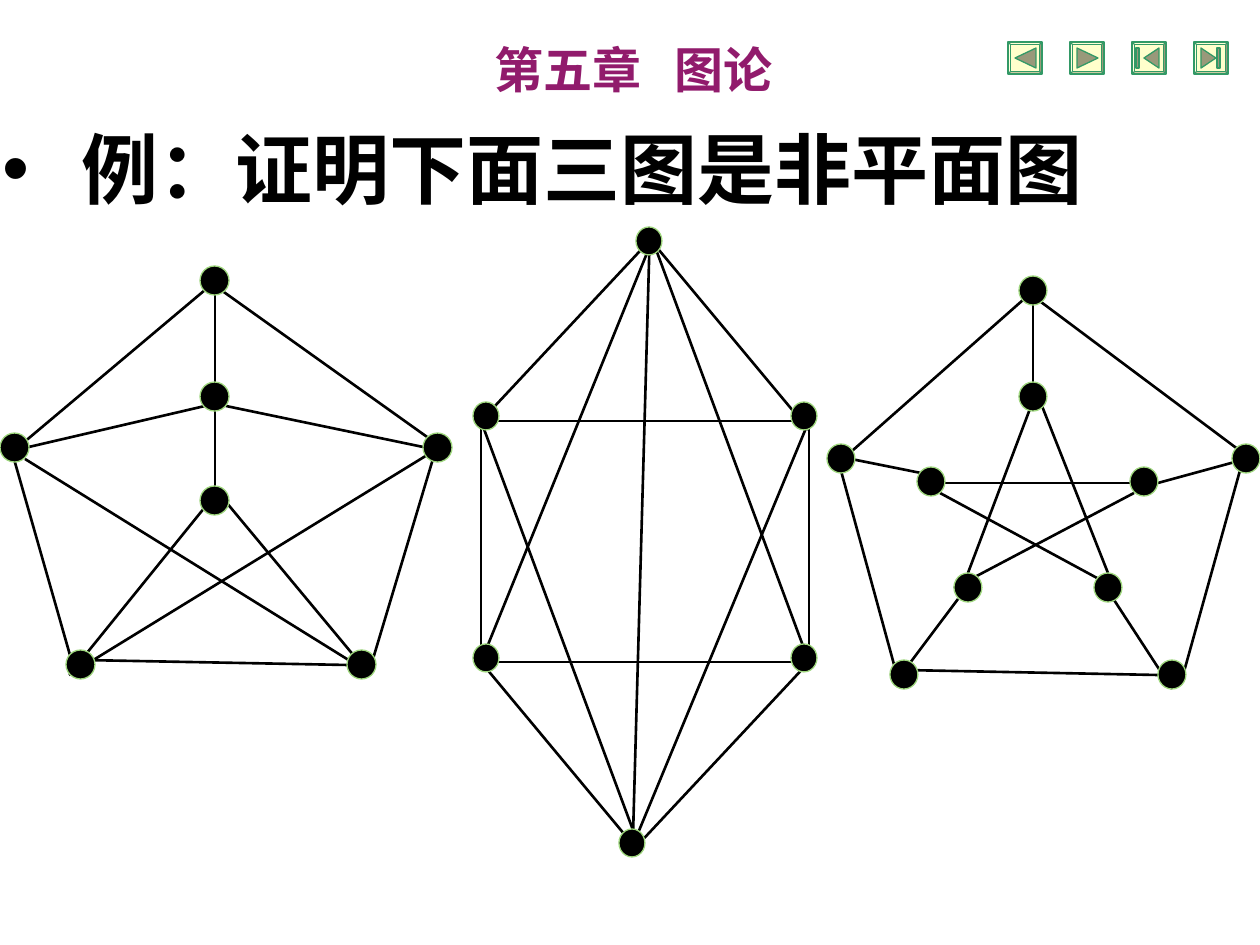
import dataclasses
import lxml.etree
import pptx
import pptx.dml.color
import pptx.enum.shapes
import pptx.enum.text
import pptx.oxml.ns
import pptx.util


@dataclasses.dataclass
class Theme:
    title: str = "911B6C"
    ink: str = "000000"
    dot_line: str = "9ED67D"
    button: str = "FFFFCC"
    button_line: str = "339966"
    arrow: str = "99997A"
    title_font: str = "Times New Roman"
    body_font: str = "Noto Sans CJK SC"
    title_size: int = 28
    body_size: int = 44
    thin: float = 0.75
    edge: float = 1.5


theme = Theme()
PX = 914400 / 126
qn = pptx.oxml.ns.qn
rgb = pptx.dml.color.RGBColor.from_string
Pt = pptx.util.Pt
MSO = pptx.enum.shapes.MSO_SHAPE


def px(*values):
    return [round(v * PX) for v in values]


def style(sp, fill, line):
    sp.shadow.inherit = False
    sp.fill.solid()
    sp.fill.fore_color.rgb = rgb(fill)
    sp.line.color.rgb = rgb(line)
    sp.line.width = Pt(theme.thin)


prs = pptx.Presentation()
prs.slide_width, prs.slide_height = px(1260, 945)
s = prs.slides.add_slide(prs.slide_layouts[1])
shapes = s.shapes

title, body = s.placeholders
texts = [
    (title, (372, 33, 523, 72), "第五章   图论", theme.title_font, theme.title_size,
     theme.title, pptx.enum.text.MSO_ANCHOR.MIDDLE, pptx.enum.text.PP_ALIGN.CENTER),
    (body, (-10, 115, 1295, 714), "例：证明下面三图是非平面图", theme.body_font, theme.body_size,
     theme.ink, pptx.enum.text.MSO_ANCHOR.TOP, pptx.enum.text.PP_ALIGN.LEFT),
]
for sp, box, text, font, size, color, anchor, align in texts:
    sp.left, sp.top, sp.width, sp.height = px(*box)
    tf = sp.text_frame
    tf.text = text
    tf.word_wrap = True
    tf.auto_size = pptx.enum.text.MSO_AUTO_SIZE.NONE
    tf.vertical_anchor = anchor
    p = tf.paragraphs[0]
    p.alignment = align
    p.space_before = Pt(0)
    p.font.name = font
    p.font.size = Pt(size)
    p.font.bold = True
    p.font.color.rgb = rgb(color)
pPr = body.text_frame.paragraphs[0]._p.get_or_add_pPr()
indent = px(79)[0]
pPr.set("marL", str(indent))
pPr.set("indent", str(-indent))

buttons = [
    ([(7, 16), (28, 6), (28, 26)], None),
    ([(7, 6), (28, 16), (7, 26)], None),
    ([(12, 16), (27, 6), (27, 26)], 6),
    ([(7, 6), (22, 16), (7, 26)], 25),
]
for i, (arrow, bar) in enumerate(buttons):
    x, y = 1008 + 62 * i, 42
    sp = shapes.add_shape(MSO.BEVEL, *px(x, y, 34, 32))
    sp.adjustments[0] = 0.07
    style(sp, theme.button, theme.button_line)
    points = [(x + dx, y + dy) for dx, dy in arrow]
    builder = shapes.build_freeform(*points[0], scale=PX)
    builder.add_line_segments(points[1:], close=True)
    style(builder.convert_to_shape(), theme.arrow, theme.button_line)
    if bar is not None:
        sp = shapes.add_shape(MSO.RECTANGLE, *px(x + bar - 2, y + 6, 3, 20))
        style(sp, theme.arrow, theme.button_line)

graphs = [
    ((29, 29),
     [(200, 266), (66, 650), (200, 486), (0, 433), (423, 433), (347, 650), (200, 382)],
     [(16, 449, 205, 290), (221, 290, 444, 449), (215, 486, 215, 295),
      (74, 669, 214, 496), (221, 496, 365, 669), (74, 669, 14, 459),
      (370, 669, 433, 459), (226, 406, 423, 447), (81, 660, 347, 665),
      (29, 447, 205, 406), (69, 675, 437, 449), (25, 459, 355, 664)]),
    ((26, 28),
     [(473, 402), (636, 227), (619, 829), (791, 644), (791, 402), (473, 644)],
     [(481, 662, 809, 662), (481, 421, 809, 421), (481, 662, 481, 421),
      (809, 662, 809, 421), (635, 847, 481, 662), (809, 430, 654, 244),
      (636, 847, 809, 662), (481, 421, 654, 236), (481, 662, 654, 236),
      (636, 838, 481, 421), (636, 838, 809, 421), (809, 662, 654, 244),
      (633, 837, 650, 227)]),
    ((28, 29),
     [(1019, 276), (890, 660), (954, 573), (827, 444), (1232, 444),
      (1158, 660), (1019, 382), (1094, 573), (917, 467), (1130, 467)],
     [(843, 459, 1023, 300), (1037, 299, 1251, 459), (1033, 411, 1033, 305),
      (898, 679, 958, 599), (1103, 583, 1172, 689), (898, 679, 840, 467),
      (1182, 679, 1241, 467), (903, 670, 1158, 675), (1158, 483, 1246, 459),
      (851, 459, 921, 473), (917, 483, 1158, 483), (968, 573, 1033, 401),
      (1042, 406, 1108, 573), (940, 493, 1097, 578), (954, 588, 1134, 493)]),
]
for size, dots, edges in graphs:
    for edge in edges:
        line = shapes.add_connector(pptx.enum.shapes.MSO_CONNECTOR.STRAIGHT, *px(*edge))
        line.line.color.rgb = rgb(theme.ink)
        line.line.width = Pt(theme.edge)
        lxml.etree.SubElement(line._element.spPr, qn("a:effectLst"))
    for dot in dots:
        style(shapes.add_shape(MSO.OVAL, *px(*dot, *size)), theme.ink, theme.dot_line)

prs.save("out.pptx")
